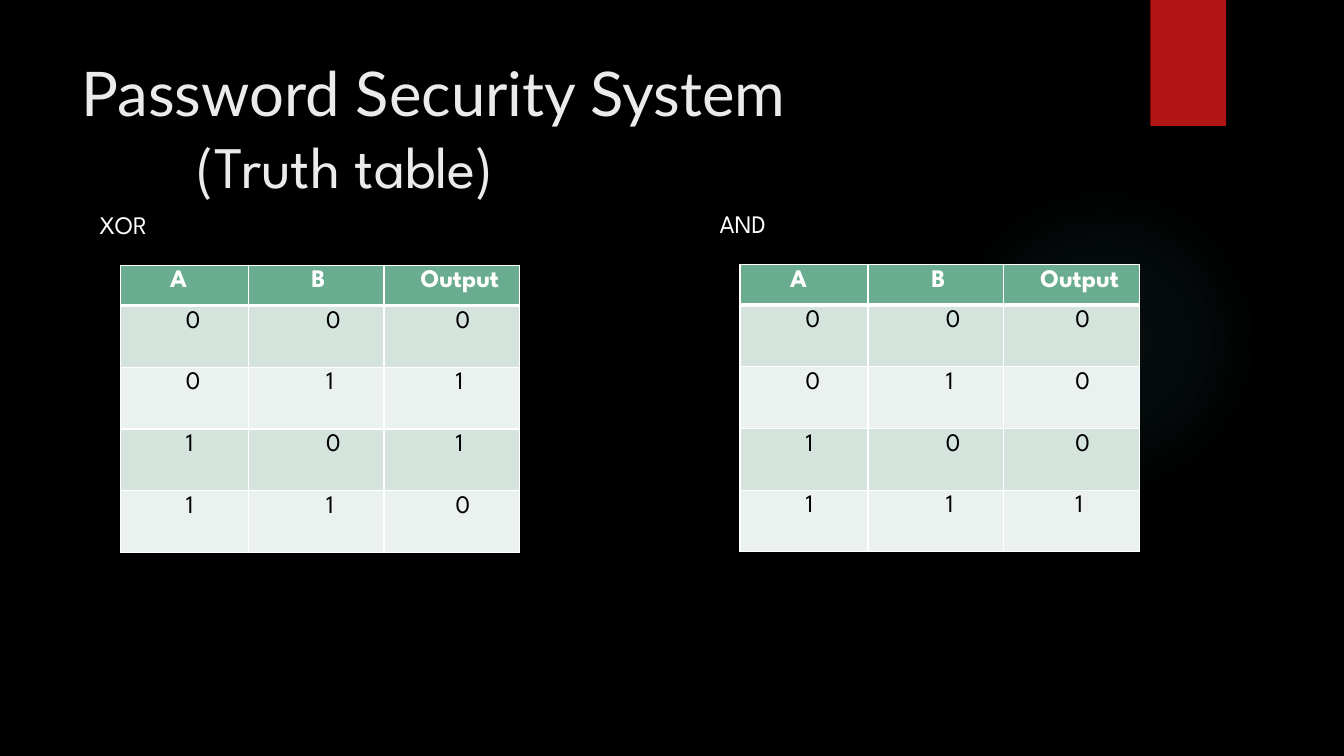
from dataclasses import dataclass
from itertools import product

from lxml.etree import SubElement
from pptx import Presentation
from pptx.dml.color import RGBColor as Rgb
from pptx.enum.shapes import MSO_SHAPE as Preset
from pptx.enum.text import MSO_ANCHOR as Anchor
from pptx.oxml import parse_xml
from pptx.oxml.ns import nsdecls, qn
from pptx.util import Pt


@dataclass(frozen=True)
class Theme:
    background: str = "000000"
    glow: str = "50B9C1"
    bookmark: str = "B01513"
    title: str = "EBEBEB"
    label: str = "FFFFFF"
    header: str = "6AAC90"
    bands: tuple = ("D4E3DB", "EBF1EE")
    value: str = "000000"
    border: str = "FFFFFF"
    title_font: str = "Lato"
    body_font: str = "League Spartan"
    title_size: int = 44
    subtitle_size: int = 42
    body_size: int = 18


THEME = Theme()
HEADINGS = ("A", "B", "Output")
INPUTS = tuple(product((0, 1), repeat=2))
COLUMN_WIDTHS = (91.4, 97, 97)
HEADING_INDENTS = (28.5, 38, 19)
VALUE_INDENTS = (39.6, 48.4, 44)
ROW_HEIGHT = 44.1


def set_all(target, values):
    for name, value in values.items():
        setattr(target, name, value)


def paint(fill, color):
    fill.solid()
    fill.fore_color.rgb = Rgb.from_string(color)


def write(paragraph, text, size, color, font=THEME.body_font, bold=False, indent=0):
    run = paragraph.add_run()
    run.text = text
    set_all(run.font, {"name": font, "size": Pt(size), "bold": bold})
    run.font.color.rgb = Rgb.from_string(color)
    if indent:
        paragraph._p.get_or_add_pPr().set("marL", str(Pt(indent)))


def add_text_box(slide, left, top, width, height, anchor=Anchor.TOP):
    frame = slide.shapes.add_textbox(Pt(left), Pt(top), Pt(width), Pt(height)).text_frame
    set_all(frame, {"word_wrap": True, "vertical_anchor": anchor})
    return frame


def add_plain_shape(slide, preset, left, top, width, height):
    shape = slide.shapes.add_shape(preset, Pt(left), Pt(top), Pt(width), Pt(height))
    shape.shadow.inherit = False
    shape.line.fill.background()
    return shape


def add_glow(slide):
    glow = add_plain_shape(slide, Preset.OVAL, 677.5, 131.8, 221.8, 221.8)
    stops = "".join(
        f'<a:gs pos="{place * 1000}"><a:srgbClr val="{THEME.glow}">'
        f'<a:alpha val="{opacity * 1000}"/></a:srgbClr></a:gs>'
        for place, opacity in ((0, 7), (36, 6), (69, 0), (100, 0)))
    gradient = parse_xml(
        f'<a:gradFill {nsdecls("a")}><a:gsLst>{stops}</a:gsLst><a:path path="circle">'
        '<a:fillToRect l="50000" t="50000" r="50000" b="50000"/></a:path></a:gradFill>')
    glow._element.spPr.find(qn("a:prstGeom")).addnext(gradient)


def set_borders(cell, widths):
    properties = cell._tc.get_or_add_tcPr()
    for side, width in widths.items():
        line = SubElement(properties, qn(f"a:ln{side}"), w=str(Pt(width)))
        fill = SubElement(line, qn("a:solidFill"))
        SubElement(fill, qn("a:srgbClr"), val=THEME.border)


def add_truth_table(slide, left, top, header_height, gate):
    rows = [HEADINGS] + [(a, b, gate(a, b)) for a, b in INPUTS]
    heights = [header_height] + [ROW_HEIGHT] * len(INPUTS)
    table = slide.shapes.add_table(
        len(rows), len(HEADINGS), Pt(left), Pt(top),
        Pt(sum(COLUMN_WIDTHS)), Pt(sum(heights))).table
    for column, width in zip(table.columns, COLUMN_WIDTHS):
        column.width = Pt(width)
    for row, height in zip(table.rows, heights):
        row.height = Pt(height)

    for r, values in enumerate(rows):
        heading = r == 0
        fill = THEME.header if heading else THEME.bands[(r - 1) % 2]
        color = THEME.label if heading else THEME.value
        indents = HEADING_INDENTS if heading else VALUE_INDENTS
        borders = {"L": 1, "R": 1, "T": 3 if r == 1 else 1, "B": 3 if heading else 1}
        for c, value in enumerate(values):
            cell = table.cell(r, c)
            set_borders(cell, borders)
            paint(cell.fill, fill)
            write(cell.text_frame.paragraphs[0], str(value), THEME.body_size, color,
                  bold=heading, indent=indents[c])


def add_title(slide):
    frame = add_text_box(slide, 51.1, 36, 740.9, 110.2)
    write(frame.paragraphs[0], "Password Security System", THEME.title_size,
          THEME.title, font=THEME.title_font)
    write(frame.add_paragraph(), "(Truth table)", THEME.subtitle_size,
          THEME.title, indent=82)


def add_gate_label(slide, text, left, top):
    frame = add_text_box(slide, left, top, 65.5, 28.8)
    write(frame.paragraphs[0], text, THEME.body_size, THEME.label)


def main():
    deck = Presentation()
    set_all(deck, {"slide_width": Pt(960), "slide_height": Pt(540)})
    slide = deck.slides.add_slide(deck.slide_layouts[6])

    # Backdrop
    paint(slide.background.fill, THEME.background)
    add_glow(slide)
    bookmark = add_plain_shape(slide, Preset.RECTANGLE, 821.8, 0, 54, 90)
    paint(bookmark.fill, THEME.bookmark)

    # Title
    add_title(slide)

    # Gates with their truth tables
    add_gate_label(slide, "XOR", 64.1, 146.2)
    add_truth_table(slide, 85.9, 189.4, 23.6, lambda a, b: a ^ b)
    add_gate_label(slide, "AND", 507, 145.4)
    add_truth_table(slide, 528.6, 189, 28.6, lambda a, b: a & b)

    deck.save("out.pptx")


if __name__ == "__main__":
    main()
